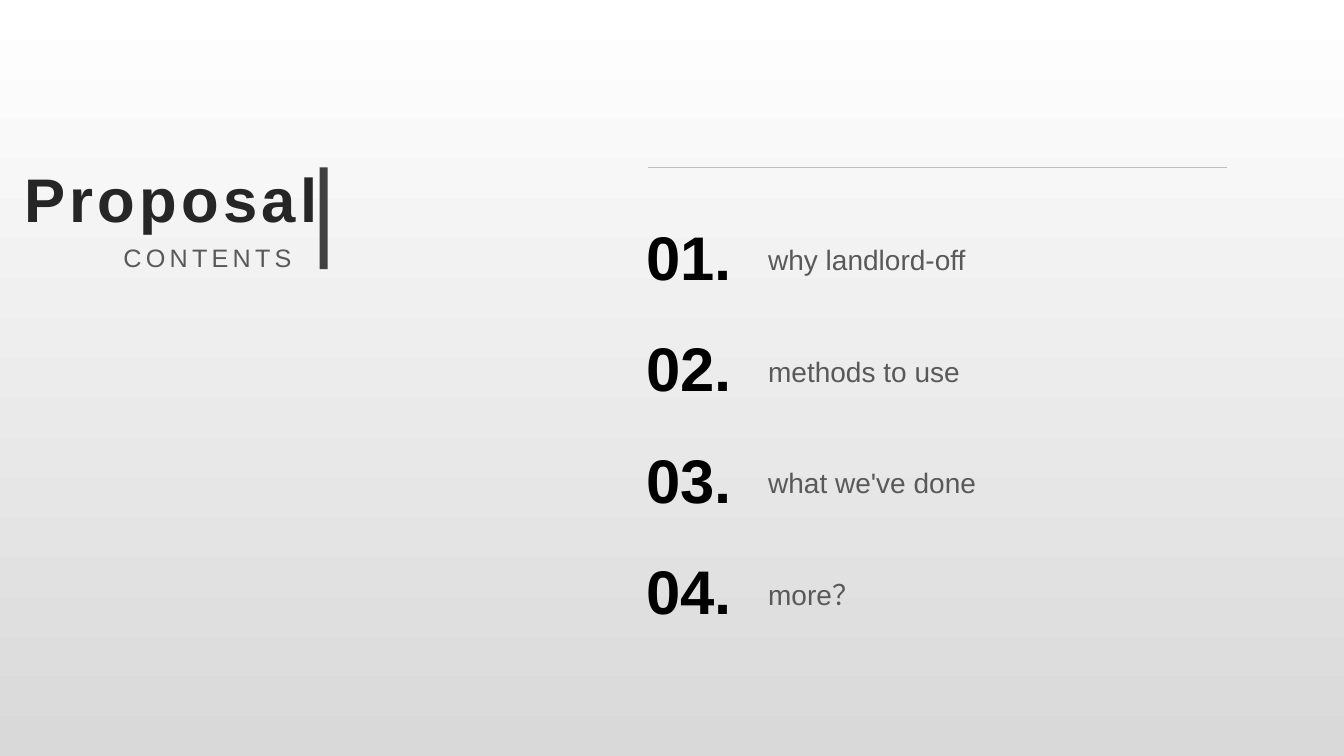
"""Build the proposal contents slide."""
from dataclasses import dataclass

from pptx import Presentation
from pptx.dml.color import RGBColor
from pptx.enum.shapes import MSO_CONNECTOR, MSO_SHAPE
from pptx.enum.text import MSO_ANCHOR, PP_ALIGN
from pptx.oxml.ns import qn
from pptx.slide import Slide
from pptx.util import Inches, Pt

LEFT, RIGHT = PP_ALIGN.LEFT, PP_ALIGN.RIGHT
TOP, MIDDLE = MSO_ANCHOR.TOP, MSO_ANCHOR.MIDDLE
RECTANGLE = MSO_SHAPE.RECTANGLE
STRAIGHT = MSO_CONNECTOR.STRAIGHT
FONT = "Arial"
GREY = "595959"
FIRST_TOP, ROW_STEP = 2.12, 1.107
TOPICS = ["why landlord-off", "methods to use", "what we've done", "more\uff1f"]


@dataclass
class Label:
    """A line of text with its box in inches and its style."""

    text: str
    left: float
    top: float
    width: float
    height: float
    size: int
    color: str
    bold: bool = False
    align: PP_ALIGN = LEFT
    anchor: MSO_ANCHOR = TOP
    line_spacing: float = 1.0
    tracking: int = 0
    wrap: bool = True


def rgb(color: str) -> RGBColor:
    """Return the colour for a hex string."""
    return RGBColor.from_string(color)


def add_label(s: Slide, label: Label) -> None:
    """Draw one label as a text box."""
    box = (label.left, label.top, label.width, label.height)
    tf = s.shapes.add_textbox(*map(Inches, box)).text_frame
    tf.word_wrap = label.wrap
    tf.vertical_anchor = label.anchor
    tf.text = label.text
    p = tf.paragraphs[0]
    p.alignment = label.align
    p.line_spacing = label.line_spacing
    r = p.runs[0]
    r.font.name = FONT
    r.font.size = Pt(label.size)
    r.font.bold = label.bold
    r.font.color.rgb = rgb(label.color)
    if label.tracking:
        r.font._element.set("spc", str(label.tracking * 100))


def add_background(s: Slide) -> None:
    """Fill the slide with a gradient running down from white to grey."""
    fill = s.background.fill
    fill.gradient()
    fill.gradient_angle = 270
    for stop, color in zip(fill.gradient_stops, ("FFFFFF", "D9D9D9")):
        stop.color.rgb = rgb(color)


def add_heading(s: Slide) -> None:
    """Draw the title, its subtitle and the bar beside them."""
    add_label(s, Label("Proposal", -0.43, 1.55, 3.68, 1.68, 44, "262626",
                       bold=True, align=RIGHT, tracking=3))
    add_label(s, Label("CONTENTS", 0.97, 2.36, 2.02, 0.4, 18, GREY,
                       align=RIGHT, tracking=3))
    bar = s.shapes.add_shape(RECTANGLE, Inches(3.17), Inches(1.66),
                             Inches(0.08), Inches(1.01))
    bar.shadow.inherit = False
    bar.fill.solid()
    bar.fill.fore_color.rgb = rgb("404040")
    bar.line.fill.background()


def add_rule(s: Slide) -> None:
    """Draw the thin line above the contents."""
    rule = s.shapes.add_connector(STRAIGHT, Inches(6.43), Inches(1.66),
                                  Inches(12.17), Inches(1.66))
    rule.line.color.rgb = rgb("BFBFBF")
    rule.line.width = Pt(0.5)
    sp_pr = rule._element.spPr
    sp_pr.append(sp_pr.makeelement(qn("a:effectLst"), {}))


def add_contents(s: Slide) -> None:
    """Draw the numbered topics at equal steps."""
    for i, topic in enumerate(TOPICS):
        top = FIRST_TOP + i * ROW_STEP
        add_label(s, Label(f"{i + 1:02}.", 6.31, top, 1.05, 0.84, 44, "000000",
                           bold=True, wrap=False))
        add_label(s, Label(topic, 7.52, top, 4.64, 0.84, 20, GREY,
                           anchor=MIDDLE, line_spacing=1.2))


def main() -> None:
    """Build the slide and save it."""
    prs = Presentation()
    prs.slide_width, prs.slide_height = Inches(13.33), Inches(7.5)
    s = prs.slides.add_slide(prs.slide_layouts[6])
    add_background(s)
    add_heading(s)
    add_rule(s)
    add_contents(s)
    prs.save("out.pptx")


main()
